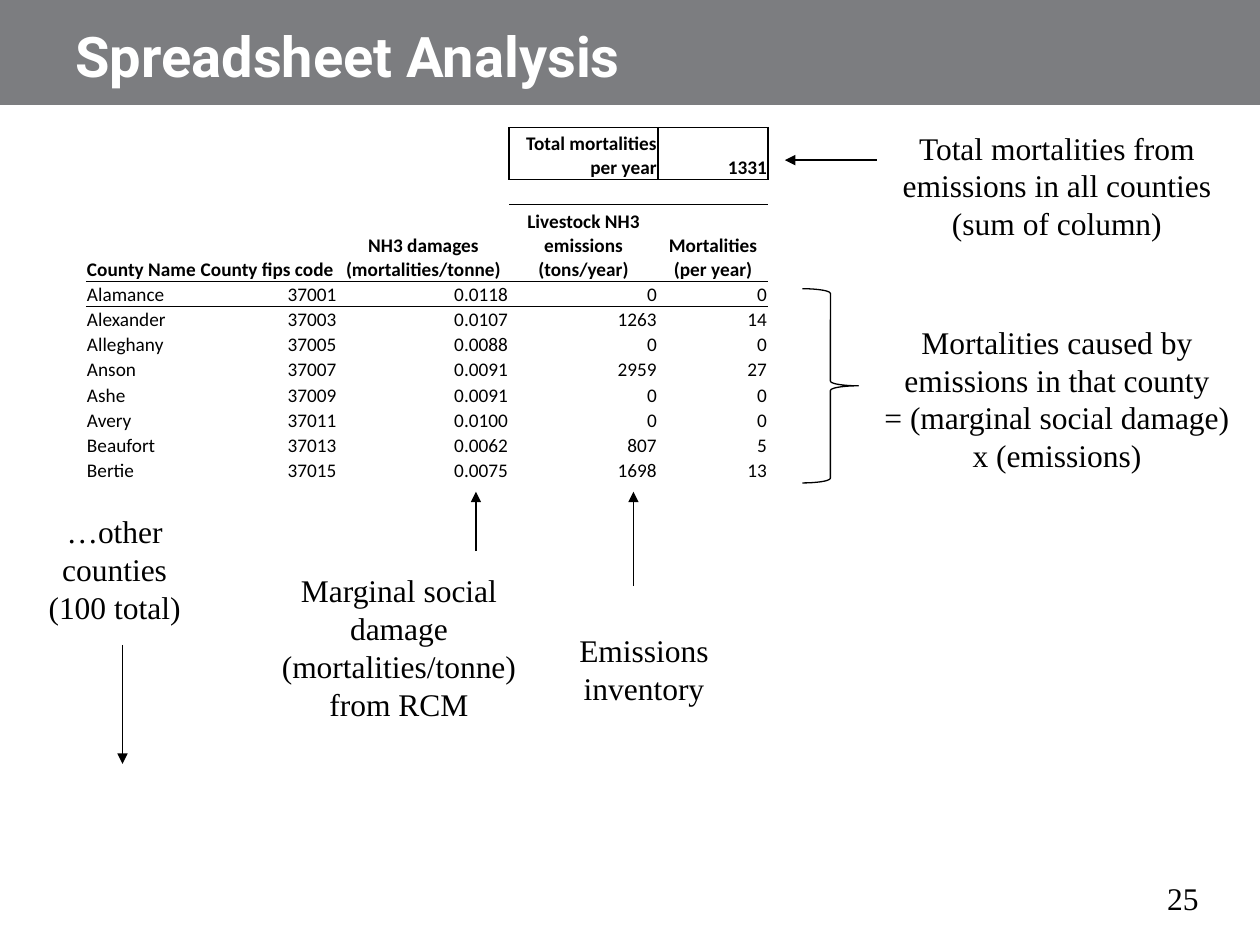
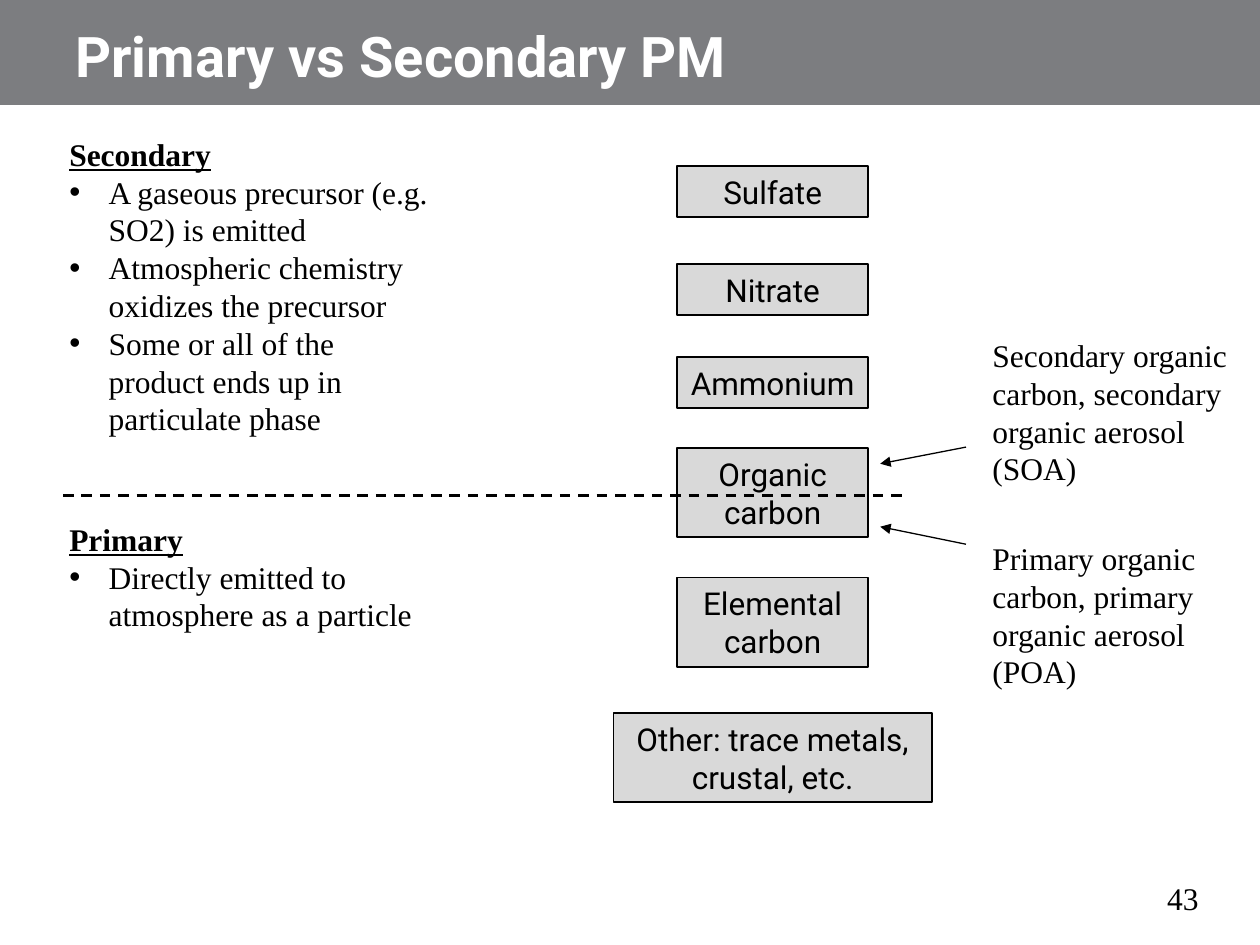
from collections import namedtuple

from lxml import etree
from pptx import Presentation
from pptx import util as u
from pptx.dml.color import RGBColor
from pptx.enum import dml, shapes, text
from pptx.oxml import ns

Pt = u.Pt
Box = namedtuple("Box", "left top width height")

BLACK = RGBColor(0x00, 0x00, 0x00)
WHITE = RGBColor(0xFF, 0xFF, 0xFF)
BAND_GREY = RGBColor(0x7C, 0x7D, 0x80)
SPECIES_GREY = RGBColor(0xD9, 0xD9, 0xD9)
BODY_FONT, HEADING_FONT, TABLE_FONT = "Times New Roman", "Roboto", "Calibri"
LEFT, CENTER, RIGHT = text.PP_ALIGN.LEFT, text.PP_ALIGN.CENTER, text.PP_ALIGN.RIGHT

PAGE = Box(0, 0, 720, 540)
BAND_HEIGHT = 60
BULLET_INDENT = 22.5
NO_TABLE_STYLE = "{2D5ABB26-0587-4C30-8999-92F81FD0307C}"

TABLE_BOX = Box(49, 73, 390, 203)
COLUMN_WIDTHS = [65, 79, 98, 85, 63]
ROW_HEIGHTS = [29.5, 14.4, 43.9] + [14.4] * 8
HEADER_ROW = 2
COUNTY_ROWS = [
    ["", "", "", "Total mortalities per year", "1331"],
    [""] * 5,
    ["County Name", "County fips code", "NH3 damages (mortalities/tonne)",
     "Livestock NH3 emissions (tons/year)", "Mortalities (per year)"],
    ["Alamance", "37001", "0.0118", "0", "0"],
    ["Alexander", "37003", "0.0107", "1263", "14"],
    ["Alleghany", "37005", "0.0088", "0", "0"],
    ["Anson", "37007", "0.0091", "2959", "27"],
    ["Ashe", "37009", "0.0091", "0", "0"],
    ["Avery", "37011", "0.0100", "0", "0"],
    ["Beaufort", "37013", "0.0062", "807", "5"],
    ["Bertie", "37015", "0.0075", "1698", "13"],
]
CELL_EDGES = {(0, 2): "R", (0, 3): "LTB", (0, 4): "RTB", (1, 3): "T", (1, 4): "T"}
CELL_EDGES.update({(HEADER_ROW, column): "B" for column in range(5)})
CELL_EDGES.update({(HEADER_ROW + 1, column): "T" for column in range(5)})

SPECIES = [
    ("Sulfate", Box(387, 95, 109, 29)),
    ("Nitrate", Box(387, 151, 109, 29)),
    ("Ammonium", Box(387, 204, 109, 29)),
    ("Organic carbon", Box(387, 256, 109, 51)),
    ("Elemental carbon", Box(387, 330, 109, 51)),
    ("Other: trace metals, crustal, etc.", Box(350.5, 407.5, 182, 51)),
]


def points(values):
    """Turn plain numbers into lengths in points."""
    return [Pt(value) for value in values]


def write(para, words, font=BODY_FONT, size=18, color=BLACK, bold=False,
          underline=False, align=LEFT):
    """Write formatted words into a paragraph."""
    para.alignment = align
    if not words:
        etree.SubElement(para._p, ns.qn("a:endParaRPr"), sz=str(size * 100))
        return
    span = para.add_run()
    span.text = words
    span.font.name, span.font.size = font, Pt(size)
    span.font.color.rgb = color
    span.font.bold, span.font.underline = bold, underline


def add_text(page, box, lines, anchor=text.MSO_ANCHOR.TOP, grow=True, **style):
    """Add a wrapping text box with one paragraph for each line."""
    frame = page.shapes.add_textbox(*points(box)).text_frame
    frame.word_wrap = True
    frame.vertical_anchor = anchor
    if grow:
        frame.auto_size = text.MSO_AUTO_SIZE.SHAPE_TO_FIT_TEXT
    for index, line in enumerate(lines):
        para = frame.add_paragraph() if index else frame.paragraphs[0]
        write(para, line, **style)
    return frame


def add_block(page, kind, box, fill=None, line_width=None):
    """Add a preset shape with an optional fill and black outline."""
    block = page.shapes.add_shape(kind, *points(box))
    block.shadow.inherit = False
    if fill is None:
        block.fill.background()
    else:
        block.fill.solid()
        block.fill.fore_color.rgb = fill
    if line_width is None:
        block.line.fill.background()
    else:
        block.line.color.rgb = BLACK
        block.line.width = Pt(line_width)
    return block


def add_line(page, start, end, width=0.75, arrow=True, dash=None):
    """Add a straight black line, by default with an arrowhead at its end."""
    line = page.shapes.add_connector(shapes.MSO_CONNECTOR.STRAIGHT, *points(start + end))
    line.line.color.rgb = BLACK
    line.line.width = Pt(width)
    if dash:
        line.line.dash_style = dash
    if arrow:
        etree.SubElement(line.line._get_or_add_ln(), ns.qn("a:tailEnd"), type="triangle")
    etree.SubElement(line._element.spPr, ns.qn("a:effectLst"))


def add_page(deck, title, number):
    """Add a page with its title band and page number."""
    page = deck.slides.add_slide(deck.slide_layouts[6])
    band = Box(PAGE.left, PAGE.top, PAGE.width, BAND_HEIGHT)
    add_block(page, shapes.MSO_SHAPE.RECTANGLE, band, BAND_GREY)
    add_text(page, Box(639, 499, 53, 29), [str(number)], align=RIGHT)
    add_text(page, Box(band.left + 36, band.top + 6, band.width - 72, band.height - 12),
             [title], anchor=text.MSO_ANCHOR.BOTTOM, grow=False,
             font=HEADING_FONT, size=32, color=WHITE, bold=True)
    return page


def add_callout(page, box, lines, start=None, end=None, align=CENTER):
    """Add a note with an arrow whose ends are offsets from the note's corner."""
    add_text(page, box, lines, align=align)
    if start:
        add_line(page, *[(box.left + x, box.top + y) for x, y in (start, end)])


def add_bullets(page, box, heading, items):
    """Add an underlined heading followed by bulleted items."""
    frame = add_text(page, box, [heading], bold=True, underline=True)
    indent = Pt(BULLET_INDENT)
    for item in items:
        para = frame.add_paragraph()
        props = para._p.get_or_add_pPr()
        props.set("marL", str(indent))
        props.set("indent", str(-indent))
        etree.SubElement(props, ns.qn("a:buFont"), typeface="Arial")
        etree.SubElement(props, ns.qn("a:buChar"), char="•")
        write(para, item)


def draw_edges(cell, sides):
    """Draw one-point black borders on the named sides of a cell."""
    props = cell._tc.get_or_add_tcPr()
    for index, side in enumerate(sides):
        edge = etree.Element(ns.qn("a:ln" + side), w=str(Pt(1)))
        fill = etree.SubElement(edge, ns.qn("a:solidFill"))
        etree.SubElement(fill, ns.qn("a:srgbClr"), val=str(BLACK))
        props.insert(index, edge)


def add_county_table(page, box):
    """Add the county table with its total above the columns."""
    table = page.shapes.add_table(len(COUNTY_ROWS), len(COLUMN_WIDTHS), *points(box)).table
    table._tbl.tblPr.find(ns.qn("a:tableStyleId")).text = NO_TABLE_STYLE
    table.first_row = table.horz_banding = False
    for column, width in zip(table.columns, COLUMN_WIDTHS):
        column.width = Pt(width)
    for row, height in zip(table.rows, ROW_HEIGHTS):
        row.height = Pt(height)
    for r, values in enumerate(COUNTY_ROWS):
        for c, value in enumerate(values):
            cell = table.cell(r, c)
            cell.margin_left = cell.margin_right = cell.margin_top = Pt(0.7)
            cell.margin_bottom = 0
            cell.vertical_anchor = text.MSO_ANCHOR.BOTTOM
            cell.fill.background()
            if r == HEADER_ROW:
                align = LEFT if c < 2 else CENTER
            else:
                align = RIGHT if c else LEFT
            write(cell.text_frame.paragraphs[0], value, font=TABLE_FONT, size=11,
                  bold=r <= HEADER_ROW, align=align)
            draw_edges(cell, CELL_EDGES.get((r, c), ""))


def add_species(page, name, box):
    """Add one labelled box of the particle species column."""
    block = add_block(page, shapes.MSO_SHAPE.RECTANGLE, box, SPECIES_GREY, 1)
    block.text_frame.word_wrap = True
    write(block.text_frame.paragraphs[0], name, font=HEADING_FONT, align=CENTER)


def build_spreadsheet_page(deck):
    """Build the page that explains the county spreadsheet."""
    page = add_page(deck, "Spreadsheet Analysis", 25)
    add_callout(page, Box(297, 357, 142, 51), ["Emissions inventory"], (65, -22), (65, -76))
    add_callout(page, Box(139, 323, 178, 94),
                ["Marginal social damage (mortalities/tonne) from RCM"], (133, -8), (133, -42))
    add_callout(page, Box(490, 181, 228, 94),
                ["Mortalities caused by emissions in that county",
                 "= (marginal social damage)", "x (emissions)"])
    add_block(page, shapes.MSO_SHAPE.RIGHT_BRACE, Box(458.5, 165, 32, 111), line_width=0.75)
    add_county_table(page, TABLE_BOX)
    add_callout(page, Box(508, 70, 192, 73),
                ["Total mortalities from emissions in all counties (sum of column)"],
                (-7, 21.5), (-59.5, 21.5))
    add_callout(page, Box(11.5, 289, 108, 73), ["…other counties (100 total)"],
                (58.5, 79.5), (58.5, 147.5))


def build_particle_page(deck):
    """Build the page that compares primary and secondary particles."""
    page = add_page(deck, "Primary vs Secondary PM", 43)
    for name, box in SPECIES:
        add_species(page, name, box)
    add_line(page, (36, 283), (518, 283), 1.5, arrow=False, dash=dml.MSO_LINE.DASH)
    add_bullets(page, Box(32.5, 293.5, 222, 73), "Primary",
                ["Directly emitted to atmosphere as a particle"])
    add_bullets(page, Box(32.5, 73.5, 222, 181), "Secondary",
                ["A gaseous precursor (e.g. SO2) is emitted",
                 "Atmospheric chemistry oxidizes the precursor",
                 "Some or all of the product ends up in particulate phase"])
    add_callout(page, Box(560, 304.5, 160, 94),
                ["Primary organic carbon, primary organic aerosol (POA)"],
                (-8, 6.5), (-57, -3.5), LEFT)
    add_callout(page, Box(560, 188.5, 160, 94),
                ["Secondary organic carbon, secondary organic aerosol (SOA)"],
                (-8, 67), (-57, 76.5), LEFT)


def main():
    """Build both pages and save the deck."""
    deck = Presentation()
    deck.slide_width, deck.slide_height = Pt(PAGE.width), Pt(PAGE.height)
    build_spreadsheet_page(deck)
    build_particle_page(deck)
    deck.save("out.pptx")


if __name__ == "__main__":
    main()
